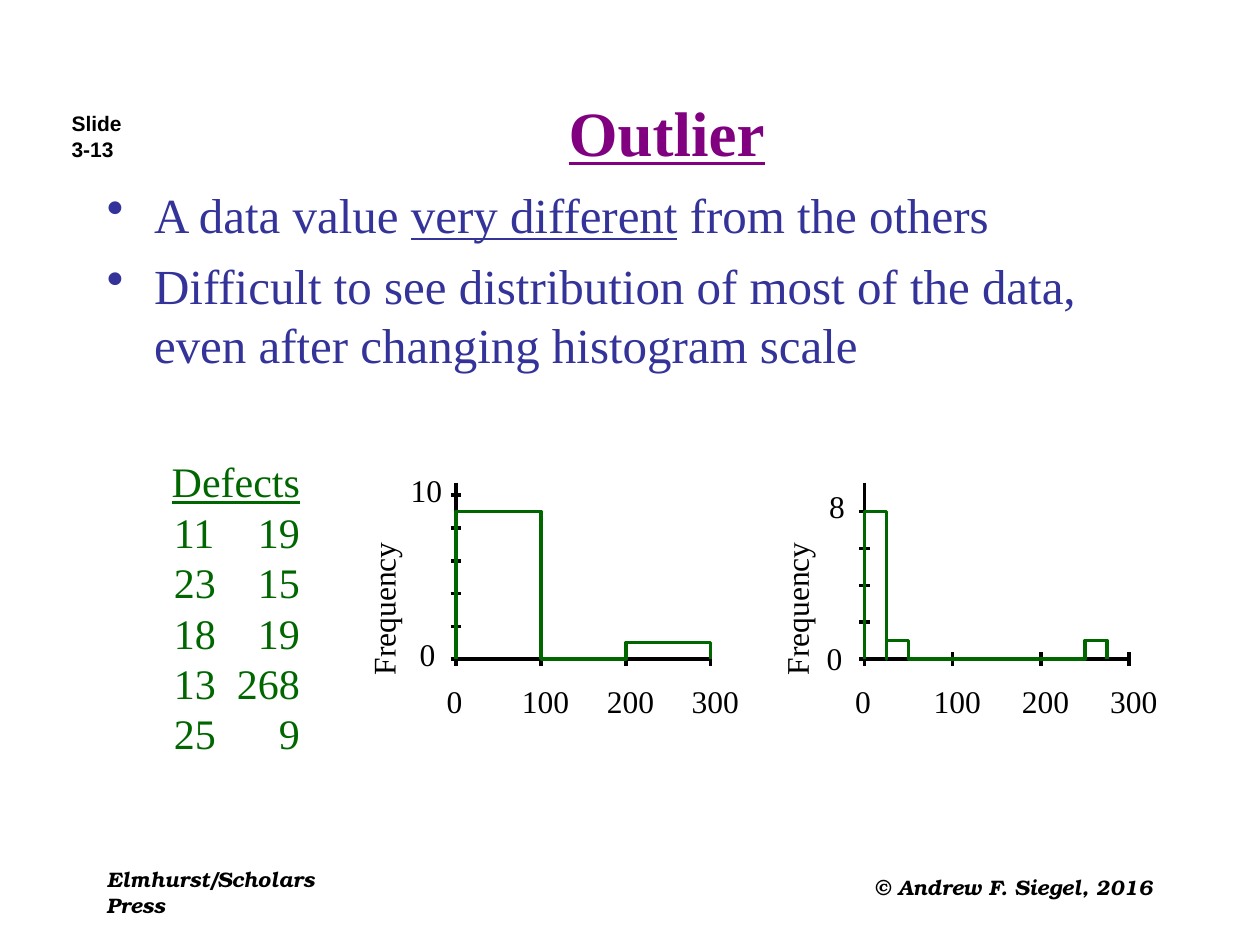
from dataclasses import dataclass

from lxml import etree
from pptx import Presentation
from pptx.dml.color import RGBColor
from pptx.enum.shapes import MSO_CONNECTOR
from pptx.enum.text import MSO_ANCHOR, MSO_AUTO_SIZE, PP_ALIGN
from pptx.oxml.ns import qn
from pptx.util import Pt

STRAIGHT = MSO_CONNECTOR.STRAIGHT
MIDDLE = MSO_ANCHOR.MIDDLE
FIT_SHAPE = MSO_AUTO_SIZE.SHAPE_TO_FIT_TEXT
CENTER, RIGHT = PP_ALIGN.CENTER, PP_ALIGN.RIGHT


@dataclass(frozen=True)
class Theme:
    """Colours, faces and type sizes of the deck."""
    black: str = "000000"
    purple: str = "800080"
    blue: str = "333399"
    green: str = "006600"
    serif: str = "Times New Roman"
    sans: str = "Arial"
    footer_face: str = "TeX Gyre Bonum"
    title: int = 36
    body: int = 28
    data: int = 24
    label: int = 18
    small: int = 12
    leading: float = 1.2


def apply(target, formats):
    """Set each attribute named in formats on the target."""
    for name, value in formats.items():
        setattr(target, name, value)


class PageBuilder:
    """Draws styled elements on the current page."""

    def __init__(self, page, theme):
        self.page = page
        self.theme = theme

    def text(self, area, paras, size, color, face=None, shapes=None, inset=True,
             wrap=True, align=None, anchor=None, rotation=0, bullet=False,
             tabs=(), gap=0, **font):
        """Add a text box whose paragraphs are lists of (text, format) spans."""
        box = (shapes or self.page.shapes).add_textbox(*map(Pt, area))
        box.rotation = rotation
        frame = box.text_frame
        apply(frame, {"word_wrap": wrap, "vertical_anchor": anchor})
        if not wrap:
            frame.auto_size = FIT_SHAPE
        if not inset:
            apply(frame, dict.fromkeys(
                ("margin_left", "margin_top", "margin_right", "margin_bottom"), 0))
        for index, spans in enumerate(paras):
            para = frame.add_paragraph() if index else frame.paragraphs[0]
            if bullet:
                self.bullet(para, color)
            if tabs:
                self.tabs(para, tabs)
            apply(para, {"alignment": align, "line_spacing": Pt(size * self.theme.leading),
                         "space_before": Pt(gap if index else 0)})
            for words, formats in spans:
                span = para.add_run()
                span.text = words
                apply(span.font, {"name": face or self.theme.serif, "size": Pt(size),
                                  **font, **formats})
                span.font.color.rgb = RGBColor.from_string(color)

    def bullet(self, para, color):
        """Give a paragraph a coloured bullet and hanging indent."""
        props = para._p.get_or_add_pPr()
        props.set("marL", str(Pt(27)))
        props.set("indent", str(-Pt(27)))
        shade = etree.SubElement(props, qn("a:buClr"))
        etree.SubElement(shade, qn("a:srgbClr"), val=color)
        etree.SubElement(props, qn("a:buChar"), char="•")

    def tabs(self, para, stops):
        """Add (position, alignment) tab stops to a paragraph."""
        stop_list = etree.SubElement(para._p.get_or_add_pPr(), qn("a:tabLst"))
        for position, side in stops:
            etree.SubElement(stop_list, qn("a:tab"), pos=str(Pt(position)), algn=side)

    def line(self, shapes, *ends):
        """Add a hairline between two points."""
        line = shapes.add_connector(STRAIGHT, *map(Pt, ends))
        line.line.width = Pt(0)
        line.line.color.rgb = RGBColor.from_string(self.theme.black)
        etree.SubElement(line._element.spPr, qn("a:effectLst"))

    def outline(self, shapes, points):
        """Add an open, unfilled outline through the points."""
        start, *rest = [tuple(map(Pt, point)) for point in points]
        builder = shapes.build_freeform(*start)
        builder.add_line_segments(rest, close=False)
        shape = builder.convert_to_shape()
        shape.shadow.inherit = False
        shape.fill.background()
        shape.line.width = Pt(2)
        shape.line.color.rgb = RGBColor.from_string(self.theme.green)

    def label(self, shapes, words, left, top, width=None, rotation=0):
        """Add an axis label."""
        width = width or 9 * len(words)
        self.text((left, top, width, 21.6), [[(words, {})]], self.theme.label,
                  self.theme.black, shapes=shapes, inset=False, wrap=False,
                  rotation=rotation)

    def histogram(self, left, step, bin_width, counts, tick_value, ticks,
                  value_labels, title_left):
        """Draw a histogram with axes, ticks, outline and labels."""
        shapes = self.page.shapes.add_group_shape().shapes
        base, top, rise = 376.6, 275.8, 9.36 if tick_value == 2 and ticks == 5 else 10.53
        self.line(shapes, left, top, left, base)
        for tick in range(ticks + 1):
            level = base - tick * tick_value * rise
            self.line(shapes, left - 3.1, level, left + 3.1, level)
        self.line(shapes, left, base, left + 3 * step, base)
        for tick in range(4):
            place = left + tick * step
            words = str(100 * tick)
            self.line(shapes, place, base + 4, place, base - 4)
            self.label(shapes, words, place - 2.7 * (1 + len(words)), 389.5)
        points = [(left, base)]
        for index, count in enumerate(counts):
            near, far = (left + (index + side) * bin_width * step / 100 for side in (0, 1))
            height = base - count * rise
            points += [(near, height), (far, height), (far, base)]
        self.outline(shapes, points)
        for words, label_left, label_top in value_labels:
            self.label(shapes, words, label_left, label_top)
        self.label(shapes, "Frequency", title_left, 337, 76.3, 270)


def main():
    """Build the outlier page and save the deck."""
    theme = Theme()
    deck = Presentation()
    apply(deck, {"slide_width": Pt(720), "slide_height": Pt(540)})
    page = PageBuilder(deck.slides.add_slide(deck.slide_layouts[6]), theme)

    page.text((33.8, 59.8, 82.8, 36), [[("Slide", {})], [("3-13", {})]], theme.small,
              theme.black, theme.sans, wrap=False, bold=True)
    page.text((96, 48, 570, 54), [[("Outlier", {})]], theme.title, theme.purple,
              align=CENTER, anchor=MIDDLE, bold=True, underline=True)
    page.text((54, 102, 612, 378), [
        [("A data value ", {}), ("very different", {"underline": True}),
         (" from the others", {})],
        [("Difficult to see distribution of most of the data, "
          "even after changing histogram scale", {})],
    ], theme.body, theme.blue, bullet=True, gap=7)

    defects = [(11, 19), (23, 15), (18, 19), (13, 268), (25, 9)]
    rows = [[(f"\t{first}\t{second}", {})] for first, second in defects]
    page.text((90.7, 257, 87.8, 180), [[("Defects", {"underline": True})], *rows],
              theme.data, theme.green, wrap=False, align=RIGHT,
              tabs=[(0, "l"), (13.5, "r"), (72, "r"), (90, "r")])

    page.histogram(260.6, 48.5, 100, [9, 0, 1], 2, 5,
                   [("0", 239.8, 362.9), ("10", 234.7, 269.3)], 180.7)
    page.histogram(494, 50.4, 25, [8, 1, *[0] * 8, 1], 2, 4,
                   [("0", 472.3, 365), ("8", 473.8, 278.6)], 416.9)

    footer = {"face": theme.footer_face, "bold": True, "italic": True}
    page.text((54, 491.8, 167.8, 36), [[("Elmhurst/Scholars Press", {})]],
              theme.small, theme.black, **footer)
    page.text((401.8, 496, 264.2, 32.4), [[("© Andrew F. Siegel, 2016", {})]],
              theme.small, theme.black, align=RIGHT, **footer)
    deck.save("out.pptx")


if __name__ == "__main__":
    main()
